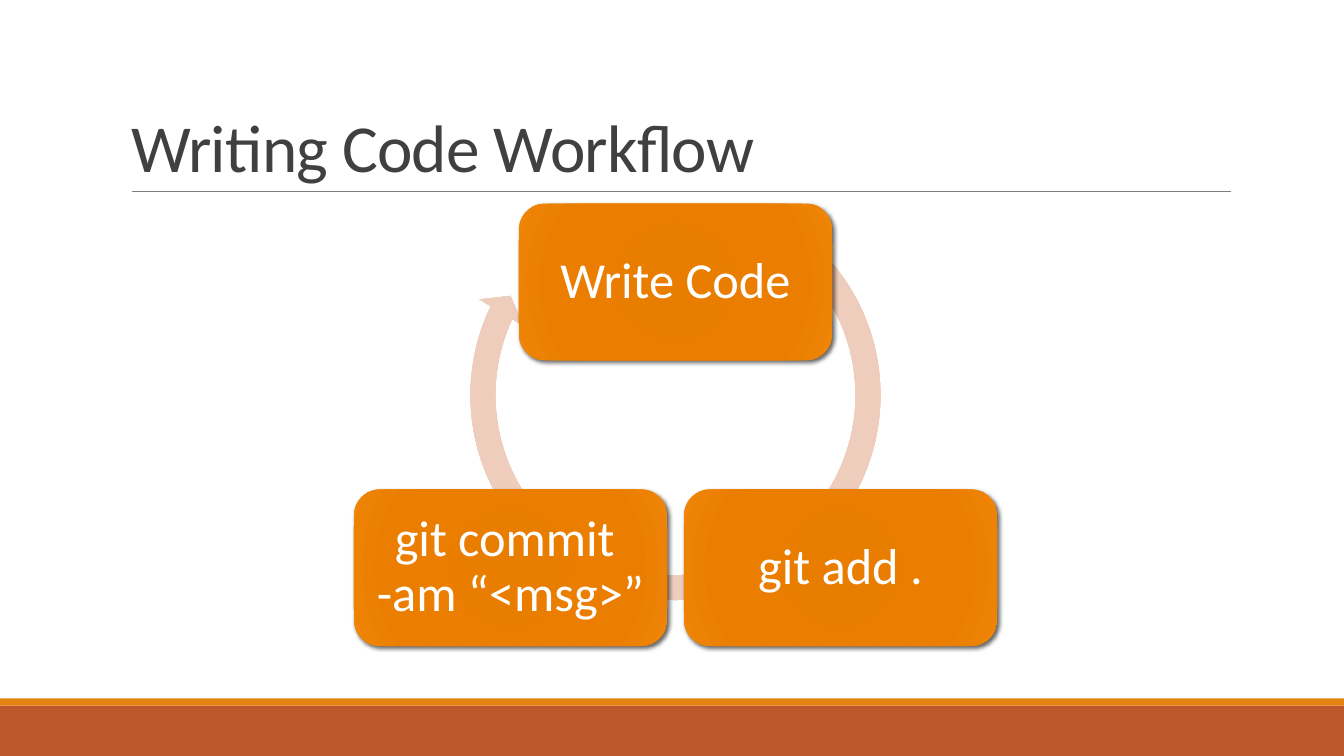
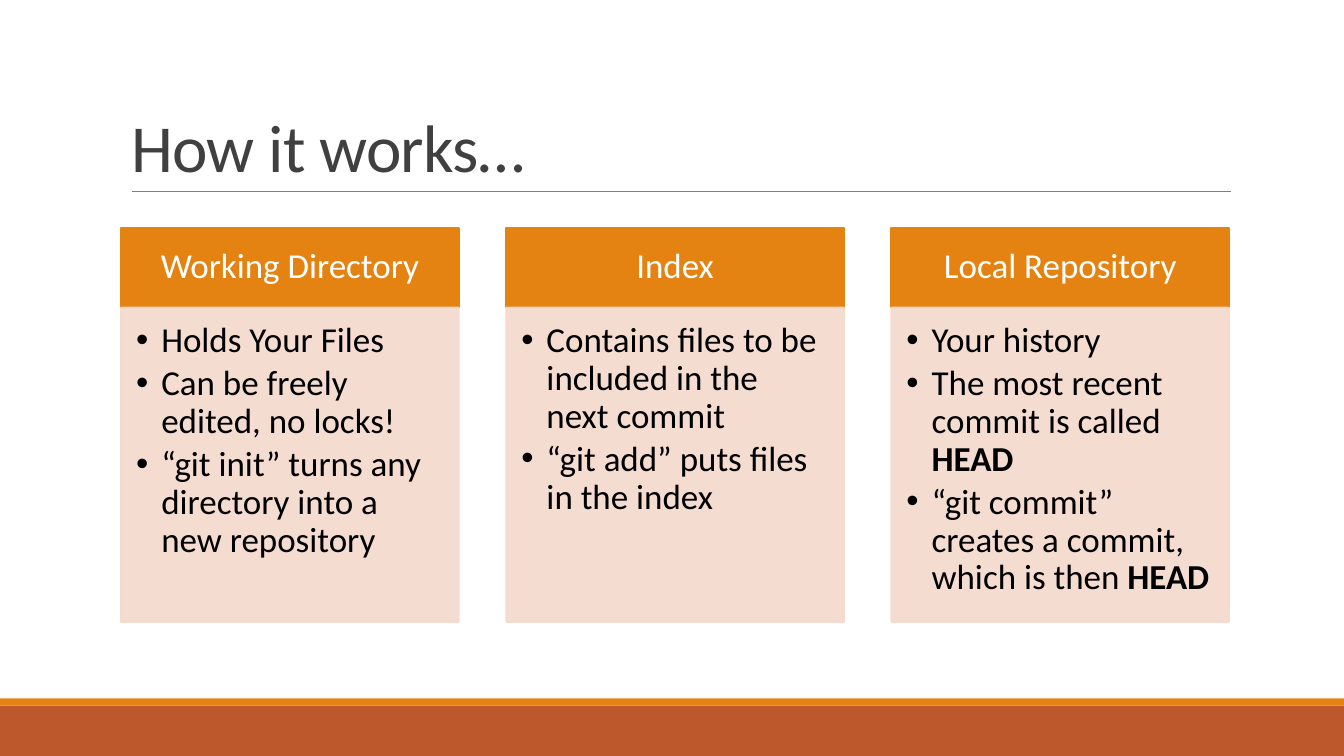
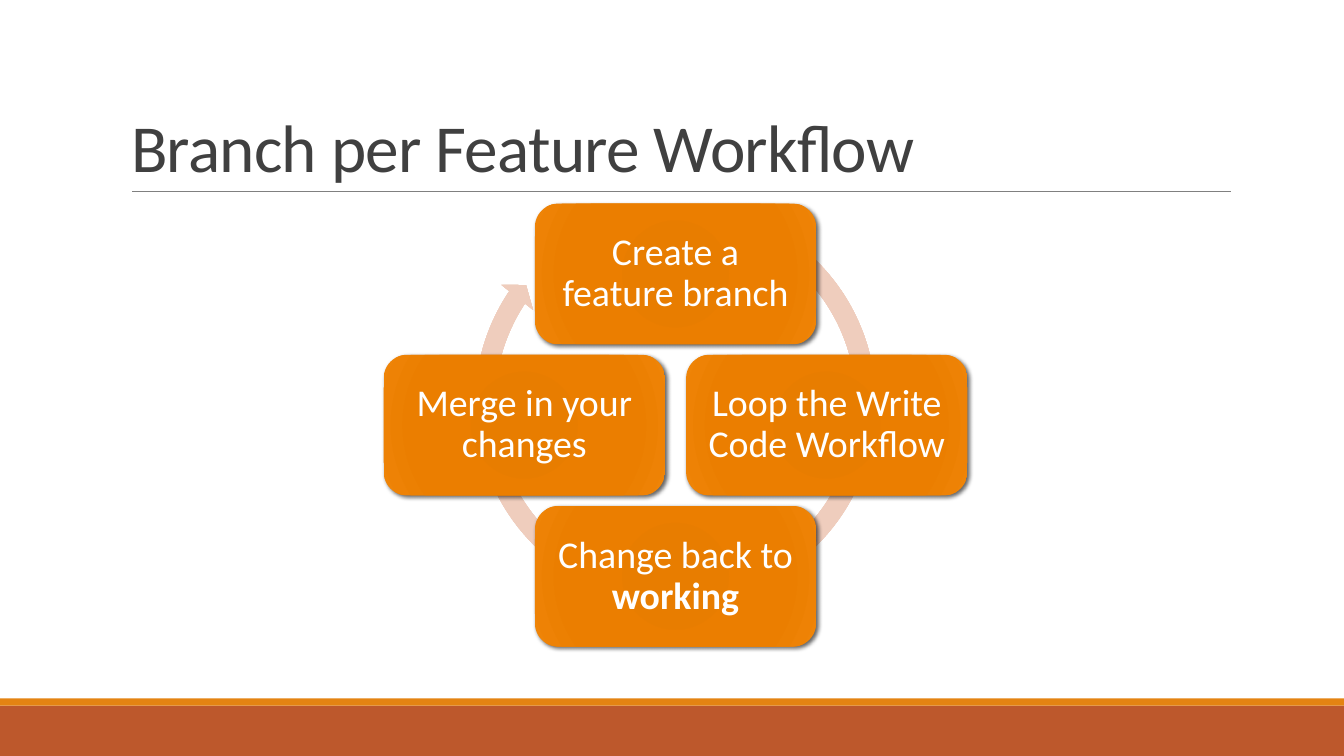
from dataclasses import dataclass
from math import cos, pi, sin

from lxml.etree import SubElement as Sub
from pptx import Presentation
from pptx.dml.color import RGBColor as Rgb
from pptx.enum.shapes import MSO_CONNECTOR as Link, MSO_SHAPE as Kind
from pptx.enum.text import MSO_ANCHOR as Anchor, MSO_AUTO_SIZE as Auto, PP_ALIGN as Align
from pptx.oxml import parse_xml
from pptx.oxml.ns import nsdecls, qn
from pptx.util import Inches, Pt


@dataclass(frozen=True)
class Theme:
    """Hold the colours and type sizes of the deck."""

    font: str = "Calibri"
    brick: str = "BD582C"
    amber: str = "E48312"
    blush: str = "F5D9CC"
    rule: str = "808080"
    ink: str = "404040"
    black: str = "000000"
    white: str = "FFFFFF"
    glow: tuple = ("E57B00", "E87D00", "EB7E00", "EF8407")
    haze: tuple = ("EAC8B9", "EBCABC", "EFCDBD", "F7D8CA")
    stops: tuple = (0, 34, 70, 100)
    head: int = 48
    list: int = 25
    loop: int = 36
    ring: int = 27


LOOK = Theme()


def put(item, **vals):
    """Set each named value on an object."""
    for name, val in vals.items():
        setattr(item, name, val)


def pad(frame, left, top, right, base, anchor):
    """Set the insets and anchor of a text frame."""
    put(frame, margin_left=Inches(left), margin_top=Inches(top),
        margin_right=Inches(right), margin_bottom=Inches(base),
        vertical_anchor=anchor, word_wrap=True, auto_size=Auto.NONE)


def write(para, text, size, tint, **form):
    """Write text in a paragraph, with bold between stars."""
    put(para, **form)
    for row, line in enumerate(text.split("\n")):
        if row:
            para.add_line_break()
        for part, words in enumerate(line.split("*")):
            if words:
                run = para.add_run()
                run.text = words
                put(run.font, name=LOOK.font, size=Pt(size), bold=part % 2 == 1)
                run.font.color.rgb = Rgb.from_string(tint)


def draw(slide, kind, left, top, wide, high, tint=None, edge=0):
    """Add a flat shape with an optional fill and edge."""
    shape = slide.shapes.add_shape(kind, *map(Inches, (left, top, wide, high)))
    shape.shadow.inherit = False
    if tint:
        shape.fill.solid()
        shape.fill.fore_color.rgb = Rgb.from_string(tint)
    if edge:
        shape.line.width = Pt(edge)
        shape.line.color.rgb = Rgb.from_string(tint)
    else:
        shape.line.fill.background()
    return shape


def blend(shape, tints):
    """Give a shape a round gradient."""
    stops = "".join(
        f'<a:gs pos="{stop * 1000}"><a:srgbClr val="{tint}"/></a:gs>'
        for stop, tint in zip(LOOK.stops, tints))
    grad = parse_xml(
        f'<a:gradFill {nsdecls("a")} rotWithShape="1"><a:gsLst>{stops}</a:gsLst>'
        '<a:path path="circle"><a:fillToRect l="100000" t="100000" r="100000" '
        'b="100000"/></a:path></a:gradFill>')
    shape.fill.gradient()
    old = next(shape.element.iter(qn("a:gradFill")))
    old.getparent().replace(old, grad)


def shade(shape):
    """Give a shape a soft drop shadow."""
    fx = next(shape.element.iter(qn("a:effectLst")))
    drop = Sub(fx, qn("a:outerShdw"), blurRad=str(Pt(3)), dist=str(Pt(2)),
               dir="2700000", algn="tl", rotWithShape="0")
    tone = Sub(drop, qn("a:srgbClr"), val=LOOK.black)
    Sub(tone, qn("a:alpha"), val="60000")


def fade(shape, part):
    """Make the fill and edge of a shape partly clear."""
    for tone in shape.element.iter(qn("a:srgbClr")):
        Sub(tone, qn("a:alpha"), val=str(part * 1000))


def dot(para):
    """Give a paragraph a hanging bullet."""
    prop = para._p.get_or_add_pPr()
    prop.set("marL", str(Inches(0.25)))
    prop.set("indent", str(-Inches(0.25)))
    Sub(prop, qn("a:buFont"), typeface="Arial")
    Sub(prop, qn("a:buChar"), char="•")


def dress(slide):
    """Set the title frame, bands and rule on the layout."""
    plan = slide.slide_layout
    for spot in list(plan.placeholders)[1:]:
        spot.element.getparent().remove(spot.element)
    title = plan.placeholders[0]
    put(title, left=Inches(1.2), top=Inches(0.31), width=Inches(11), height=Inches(1.59))
    pad(title.text_frame, 0.1, 0.05, 0.1, 0.05, Anchor.BOTTOM)
    line = slide.shapes.add_connector(
        Link.STRAIGHT, *map(Inches, (1.31, 1.9, 12.21, 1.9)))
    line.line.width = Pt(0.5)
    line.line.color.rgb = Rgb.from_string(LOOK.rule)
    Sub(next(line.element.iter(qn("p:spPr"))), qn("a:effectLst"))
    bands = [draw(slide, Kind.RECTANGLE, 0, top, 13.33, high, tint)
             for top, high, tint in ((7, 0.5, LOOK.brick), (6.93, 0.07, LOOK.amber))]
    for part in (*bands, line):
        plan.shapes.element.append(part.element)


def start(deck, text):
    """Add a slide with its title."""
    slide = deck.slides.add_slide(deck.slide_layouts[5])
    title = slide.shapes.title
    write(title.text_frame.paragraphs[0], text, LOOK.head, LOOK.ink,
          line_spacing=0.85, alignment=Align.LEFT)
    for prop in title.element.iter(qn("a:rPr")):
        prop.set("spc", "-50")
    return slide


def cycle(slide, steps, wide, reach, size, inset, arrow):
    """Set steps clockwise on a circle over a round arrow."""
    mid, top, high = 6.7, 2.02, wide / 2
    hub = top + high / 2 + reach
    level, span, bends = arrow
    ring = draw(slide, Kind.CIRCULAR_ARROW, mid - span / 2, level - span / 2, span, span)
    for spot, bend in enumerate(bends):
        ring.adjustments[spot] = bend
    blend(ring, LOOK.haze)
    for spot, text in enumerate(steps):
        turn = 2 * pi * spot / len(steps)
        left = mid + reach * sin(turn) - wide / 2
        box = draw(slide, Kind.ROUNDED_RECTANGLE, left,
                   hub - reach * cos(turn) - high / 2, wide, high)
        blend(box, LOOK.glow)
        shade(box)
        pad(box.text_frame, *[inset] * 4, Anchor.MIDDLE)
        write(box.text_frame.paragraphs[0], text, size, LOOK.white,
              alignment=Align.CENTER, line_spacing=0.9)


def column(slide, left, name, notes):
    """Add a headed panel with a bullet list."""
    wide = 3.35
    head = draw(slide, Kind.RECTANGLE, left, 2.26, wide, 0.79, LOOK.amber, 1.25)
    pad(head.text_frame, 0.19, 0.11, 0.19, 0.11, Anchor.MIDDLE)
    write(head.text_frame.paragraphs[0], name, LOOK.list, LOOK.white,
          alignment=Align.CENTER, line_spacing=0.9)
    body = draw(slide, Kind.RECTANGLE, left, 3.05, wide, 3.12, LOOK.blush, 1.25)
    fade(body, 90)
    frame = body.text_frame
    pad(frame, 0.15, 0.15, 0.19, 0.22, Anchor.TOP)
    for row, note in enumerate(notes):
        para = frame.add_paragraph() if row else frame.paragraphs[0]
        write(para, note, LOOK.list, LOOK.black, alignment=Align.LEFT,
              line_spacing=0.9, space_after=Pt(3.75))
        dot(para)


def main():
    """Build and save the deck."""
    deck = Presentation()
    put(deck, slide_width=Inches(13.33), slide_height=Inches(7.5))

    code = start(deck, "Writing Code Workflow")
    dress(code)
    cycle(code, ("Write Code", "git add .", "git commit \n-am “<msg>”"),
          3.11, 1.89, LOOK.loop, 0.15,
          (3.92, 4.33, (0.057, 3.405, 123.208, 183.424, 0.059)))

    works = start(deck, "How it works…")
    panels = (
        ("Working Directory", ("Holds Your Files",
                               "Can be freely edited, no locks!",
                               "“git init” turns any directory into a new repository")),
        ("Index", ("Contains files to be included in the next commit",
                   "“git add” puts files in the index")),
        ("Local Repository", ("Your history",
                              "The most recent commit is called *HEAD*",
                              "“git commit” creates a commit, which is then *HEAD*")),
    )
    for spot, (name, notes) in enumerate(panels):
        column(works, 1.2 + 3.82 * spot, name, notes)

    branch = start(deck, "Branch per Feature Workflow")
    cycle(branch, ("Create a feature branch", "Loop the Write Code Workflow",
                   "Change back to *working*", "Merge in your changes"),
          2.79, 1.5, LOOK.ring, 0.11,
          (4, 4.18, (0.047, 2.729, 128.261, 180.345, 0.048)))

    deck.save("out.pptx")


if __name__ == "__main__":
    main()
